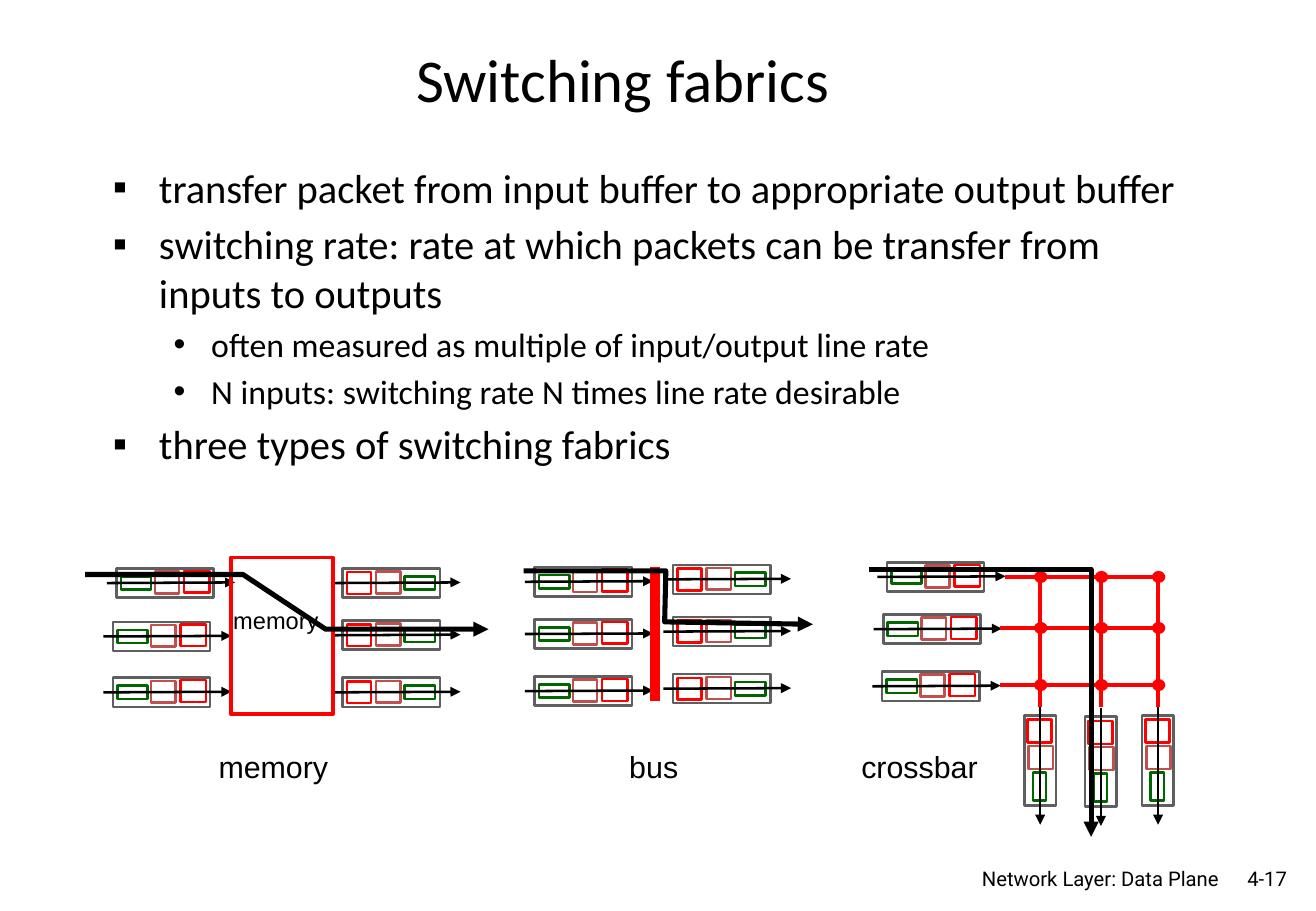
from pptx import Presentation
from pptx.dml.color import RGBColor
from pptx.enum.shapes import MSO_CONNECTOR, MSO_SHAPE
from pptx.enum.text import MSO_ANCHOR, PP_ALIGN
from pptx.oxml.ns import qn
from pptx.oxml.xmlchemy import OxmlElement
from pptx.util import Inches, Pt

COLORS = {"black": "000000", "white": "FFFFFF", "gray": "5F5F5F",
          "green": "006600", "rose": "C0504D", "red": "FF0000"}

# Grid of 1083 columns by 750 rows
CELL = Inches(0.01)
deck = Presentation()
deck.slide_width, deck.slide_height = 1083 * CELL, 750 * CELL
page = deck.slides.add_slide(deck.slide_layouts[6])
shapes = page.shapes


def write(text, area, size=18, font="Arial", align=PP_ALIGN.LEFT,
          anchor=MSO_ANCHOR.TOP, wrap=True, levels=None):
    """Write lines of text; levels gives size, bullet, margin and hang per line."""
    frame = shapes.add_textbox(*(n * CELL for n in area)).text_frame
    frame.word_wrap, frame.vertical_anchor = wrap, anchor
    for number, line in enumerate(text.split("\n")):
        para = frame.paragraphs[0] if number == 0 else frame.add_paragraph()
        para.alignment = align
        span = para.add_run()
        span.text = line
        span.font.size, span.font.name = Pt(size), font
        span.font.color.rgb = RGBColor.from_string(COLORS["black"])
        if levels:
            points, bullet, margin, hang = levels[number]
            span.font.size = Pt(points)
            properties = para._p.get_or_add_pPr()
            properties.set("marL", str(margin * CELL))
            properties.set("indent", str(-hang * CELL))
            typeface = OxmlElement("a:buFont")
            typeface.set("typeface", "Arial")
            mark = OxmlElement("a:buChar")
            mark.set("char", bullet)
            properties.extend([typeface, mark])
            if number:
                para.space_before = Pt(0.2 * points)


def style(shape, line=None, width=1.5, fill=None, arrow=False):
    """Set outline, fill and arrowhead, and remove the shadow."""
    if fill:
        shape.fill.solid()
        shape.fill.fore_color.rgb = RGBColor.from_string(COLORS[fill])
    elif hasattr(shape, "fill"):
        shape.fill.background()
    if line:
        shape.line.color.rgb = RGBColor.from_string(COLORS[line])
        shape.line.width = Pt(width)
    else:
        shape.line.fill.background()
    properties = shape._element.spPr
    if arrow:
        head = OxmlElement("a:tailEnd")
        head.set("type", "triangle")
        properties.find(qn("a:ln")).append(head)
    properties.append(OxmlElement("a:effectLst"))


# Title, bullets and footer
write("Switching fabrics", (52, 27, 921, 75), size=36, font="Calibri",
      align=PP_ALIGN.CENTER, anchor=MSO_ANCHOR.MIDDLE)
main, sub = (24, "▪", 38, 38), (20, "•", 81, 31)
write("transfer packet from input buffer to appropriate output buffer\n"
      "switching rate: rate at which packets can be transfer from inputs to outputs\n"
      "often measured as multiple of input/output line rate\n"
      "N inputs: switching rate N times line rate desirable\n"
      "three types of switching fabrics",
      (83, 129, 921, 508), font="Calibri", levels=[main, main, sub, sub, main])
write("Network Layer: Data Plane", (755, 708, 258, 26), size=12, font="Roboto",
      align=PP_ALIGN.RIGHT)
write("4-17", (1002, 708, 67, 30), size=12, font="Roboto",
      align=PP_ALIGN.RIGHT, anchor=MSO_ANCHOR.MIDDLE)

# Queue kinds: boxes and arrow, measured from the top left of the frame
QUEUES = {
    "input": ([(0, 0, 80, 24, "gray"), (3.5, 6.5, 25, 11, "green"),
               (31.5, 2.5, 20, 18, "rose"), (55.5, 2, 21, 18, "red")],
              (-8, 12, 97.5, 11.5)),
    "output": ([(0, 0, 80, 24, "gray"), (51, 6.5, 25, 11, "green"),
                (27.5, 2.5, 20, 18, "rose"), (3.5, 3, 20, 18, "red")],
               (-8, 12, 97, 11.5)),
    "down": ([(0, 0, 26, 74, "gray"), (7, 47, 11, 23, "green"),
              (3.5, 25, 20, 19, "rose"), (2.5, 3.5, 20, 19, "red")],
             (13, -7, 13, 90)),
}
PLACES = {
    "input": [(96, 468), (93, 512), (93, 558), (440, 467), (440, 510),
              (440, 557), (730, 463), (727, 506), (726, 553)],
    "output": [(282, 468), (282, 511), (282, 558),
               (554, 465), (554, 508), (554, 555)],
    "down": [(940, 589), (893, 590), (843, 589)],
}
for kind, places in PLACES.items():
    boxes, (x1, y1, x2, y2) = QUEUES[kind]
    for left, top in places:
        for x, y, width, height, color in boxes:
            box = shapes.add_shape(
                MSO_SHAPE.RECTANGLE, int((left + x) * CELL), int((top + y) * CELL),
                width * CELL, height * CELL)
            style(box, line=color, fill="white")
        arrow = shapes.add_connector(
            MSO_CONNECTOR.STRAIGHT, int((left + x1) * CELL), int((top + y1) * CELL),
            int((left + x2) * CELL), int((top + y2) * CELL))
        style(arrow, line="black", arrow=True)

# Memory block
memory = shapes.add_shape(MSO_SHAPE.RECTANGLE, 190 * CELL, 459 * CELL,
                          84 * CELL, 129 * CELL)
style(memory, line="red", width=2.25)
write("memory", (182, 494, 91, 34), size=14, wrap=False)

# Bus bar and crossbar lines
COLUMNS, ROWS = (856, 906, 953), (475, 517, 564)
wires = [(539, 467, 539, 577, 6)]
wires += [(start, y, 953, y, 2.25) for start, y in zip((827, 823, 823), ROWS)]
wires += [(x, 582, x, 475, 2.25) for x in COLUMNS]
for x1, y1, x2, y2, weight in wires:
    wire = shapes.add_connector(MSO_CONNECTOR.STRAIGHT, x1 * CELL, y1 * CELL,
                                x2 * CELL, y2 * CELL)
    style(wire, line="red", width=weight)

# Crossbar switch points
for x in COLUMNS:
    for y in ROWS:
        point = shapes.add_shape(MSO_SHAPE.OVAL, (x - 5) * CELL, (y - 5) * CELL,
                                 11 * CELL, 10 * CELL)
        style(point, fill="red")

# Captions
for caption, left, width in [("memory", 170, 111), ("bus", 508, 61),
                             ("crossbar", 699, 117)]:
    write(caption, (left, 611, width, 40), wrap=False)

# Packet routes
ROUTES = [
    [(70, 473), (200, 473), (268, 518), (402, 518)],
    [(431, 470), (548, 470), (547, 512), (669, 514)],
    [(715, 469), (898, 469), (898, 689)],
]
for start, *corners in ROUTES:
    builder = shapes.build_freeform(*start, scale=CELL)
    builder.add_line_segments(corners, close=False)
    style(builder.convert_to_shape(), line="black", width=3, arrow=True)

deck.save("out.pptx")
